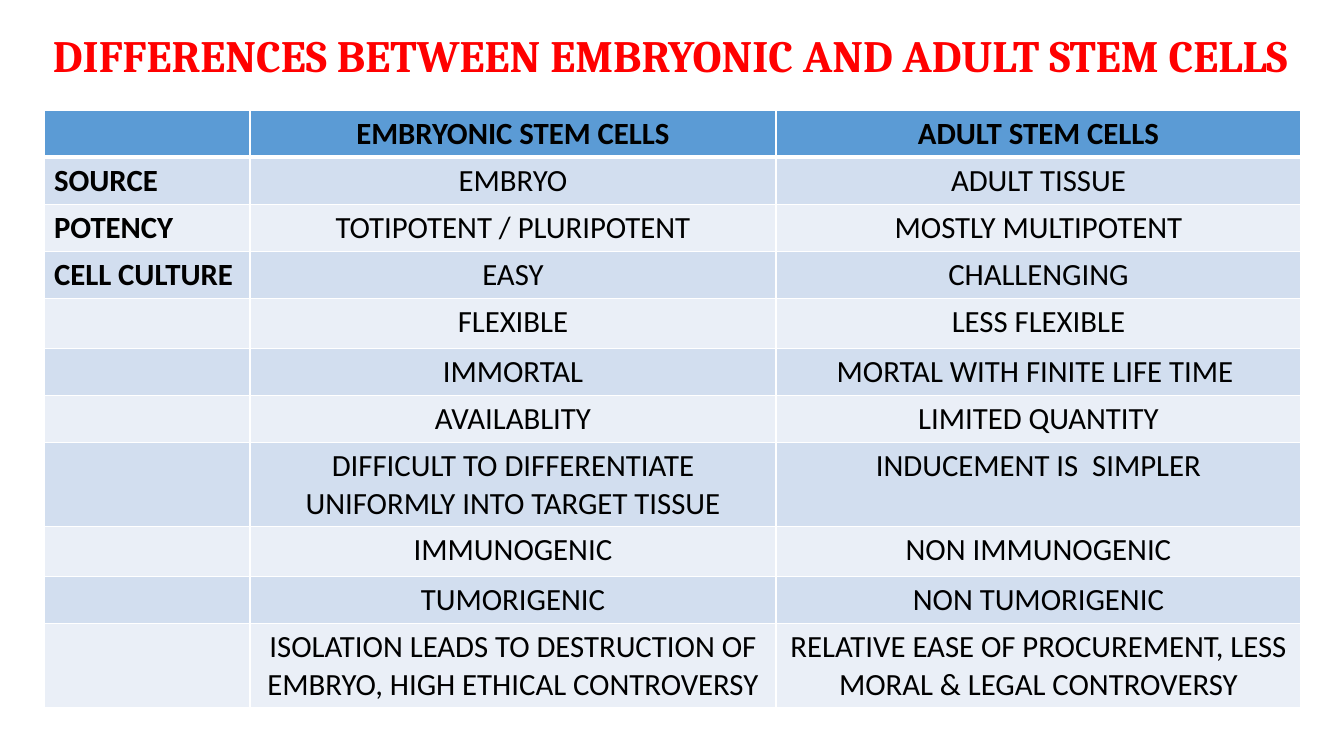
from lxml import etree
from pptx import Presentation
from pptx import util as u
from pptx.dml.color import RGBColor
from pptx.enum import text
from pptx.oxml import ns

SCALE = 914400 / 100.8
HUES = {"title": "FF0000", "ink": "000000", "head": "5B9BD5",
        "odd": "D2DEEF", "even": "EAEFF7", "rule": "FFFFFF"}
COLS = [206, 526, 525]
LINE, TALL, WRAP = 47, 50, 84
ROWS = [
    (LINE, "", "EMBRYONIC STEM CELLS", "ADULT STEM CELLS"),
    (LINE, "SOURCE", "EMBRYO", "ADULT TISSUE"),
    (LINE, "POTENCY", "TOTIPOTENT / PLURIPOTENT", "MOSTLY MULTIPOTENT"),
    (LINE, "CELL CULTURE", "EASY", "CHALLENGING"),
    (TALL, "", "FLEXIBLE", "LESS FLEXIBLE"),
    (LINE, "", "IMMORTAL", "MORTAL WITH FINITE LIFE TIME "),
    (LINE, "", "AVAILABLITY", "LIMITED QUANTITY"),
    (WRAP, "", "DIFFICULT TO DIFFERENTIATE UNIFORMLY INTO TARGET TISSUE",
     "INDUCEMENT IS  SIMPLER"),
    (TALL, "", "IMMUNOGENIC", "NON IMMUNOGENIC"),
    (LINE, "", "TUMORIGENIC", "NON TUMORIGENIC"),
    (WRAP, "", "ISOLATION LEADS TO DESTRUCTION OF EMBRYO, HIGH ETHICAL CONTROVERSY",
     "RELATIVE EASE OF PROCUREMENT, LESS MORAL & LEGAL CONTROVERSY"),
]


def px(n):
    """Turn pixels into EMU."""
    return u.Emu(round(n * SCALE))


def hue(name):
    """Look up a colour by name."""
    return RGBColor.from_string(HUES[name])


def write(frame, words, face, size, ink, bold, align):
    """Fill a text frame with one styled paragraph."""
    frame.text = words
    para = frame.paragraphs[0]
    para.alignment = align
    for run in para.runs:
        font = run.font
        font.name, font.size, font.bold = face, u.Pt(size), bold
        font.color.rgb = hue(ink)


def edge(cell, side, width):
    """Draw one cell border."""
    props = cell._tc.get_or_add_tcPr()
    line = etree.SubElement(props, ns.qn("a:ln" + side), w=str(u.Pt(width)))
    fill = etree.SubElement(line, ns.qn("a:solidFill"))
    etree.SubElement(fill, ns.qn("a:srgbClr"), val=HUES["rule"])


def paint(cell, row):
    """Set the borders and fill of a cell by its row."""
    for side in "LRTB":
        thick = (row, side) in [(0, "B"), (1, "T")]
        edge(cell, side, 3 if thick else 1)
    cell.fill.solid()
    cell.fill.fore_color.rgb = hue("head" if row == 0 else "odd" if row % 2 else "even")


def title(slide):
    """Add the heading."""
    box = slide.shapes.add_textbox(px(17), px(23), px(1308), px(65))
    box.text_frame.word_wrap = True
    write(box.text_frame, "DIFFERENCES BETWEEN EMBRYONIC AND ADULT STEM CELLS",
          "Cambria", 32, "title", True, text.PP_ALIGN.CENTER)


def grid(slide):
    """Add the comparison table."""
    high = sum(row[0] for row in ROWS)
    table = slide.shapes.add_table(len(ROWS), len(COLS), px(44), px(110),
                                   px(sum(COLS)), px(high)).table
    for col, wide in zip(table.columns, COLS):
        col.width = px(wide)
    for r, (tall, *words) in enumerate(ROWS):
        table.rows[r].height = px(tall)
        for c, word in enumerate(words):
            cell = table.cell(r, c)
            align = text.PP_ALIGN.CENTER if c else text.PP_ALIGN.LEFT
            write(cell.text_frame, word, "Calibri", 22, "ink", r == 0 or c == 0, align)
            paint(cell, r)


def main():
    """Build and save the slide."""
    deck = Presentation()
    deck.slide_width, deck.slide_height = px(1344), px(756)
    slide = deck.slides.add_slide(deck.slide_layouts[6])
    title(slide)
    grid(slide)
    deck.save("out.pptx")


if __name__ == "__main__":
    main()
